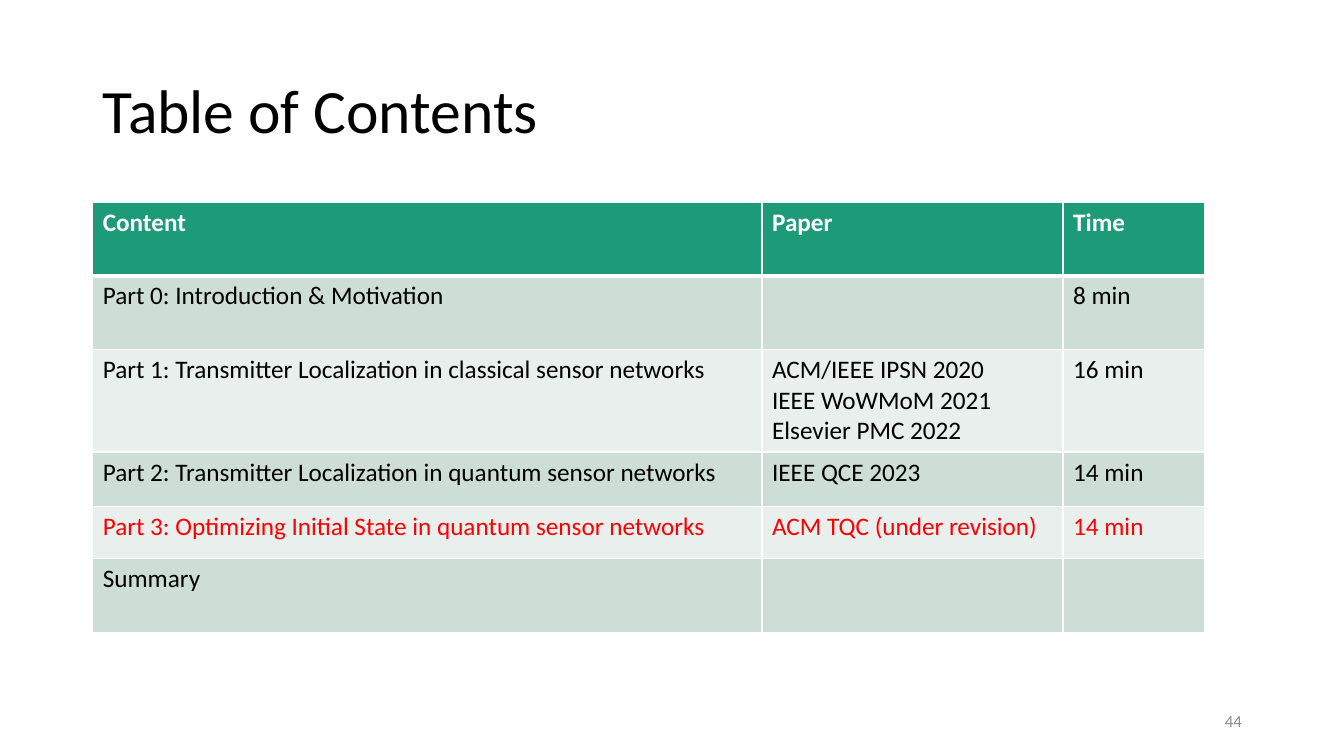
import pptx
import pptx.dml.color
import pptx.enum.text
import pptx.oxml
import pptx.oxml.ns
import pptx.util

FONT = "Calibri"
COLORS = {
    "text": "000000",
    "header": "1D9A78",
    "band_dark": "CDDED6",
    "band_light": "E8EFEC",
    "white": "FFFFFF",
    "current": "FF0000",
    "number": "8C8C8C",
}
WIDTH, HEIGHT = pptx.util.Inches(13.33), pptx.util.Inches(7.5)

# Shares of the slide's size, in percent
LEFT = 6.9
COLUMNS = [49.8, 22.4, 10.5]
ROWS = [9.73, 9.73, 13.6, 7.2, 6.9, 9.73]

CONTENTS = [
    ["Content", "Paper", "Time"],
    ["Part 0: Introduction & Motivation", "", "8 min"],
    ["Part 1: Transmitter Localization in classical sensor networks",
     "ACM/IEEE IPSN 2020\nIEEE WoWMoM 2021 Elsevier PMC 2022", "16 min"],
    ["Part 2: Transmitter Localization in quantum sensor networks",
     "IEEE QCE 2023", "14 min"],
    ["Part 3: Optimizing Initial State in quantum sensor networks",
     "ACM TQC (under revision)", "14 min"],
    ["Summary", "", ""],
]
CURRENT_ROW = 4


def across(percent):
    return round(WIDTH * percent / 100)


def down(percent):
    return round(HEIGHT * percent / 100)


def rgb(name):
    return pptx.dml.color.RGBColor.from_string(COLORS[name])


def place(sp, left, top, width, height):
    sp.left, sp.top = across(left), down(top)
    sp.width, sp.height = across(width), down(height)


def format_text(tf, size, color, bold=False, align=None):
    for p in tf.paragraphs:
        p.alignment = align
        for r in p.runs:
            r.font.name = FONT
            r.font.size = pptx.util.Pt(size)
            r.font.bold = bold
            r.font.color.rgb = rgb(color)


def add_borders(cell, top, bottom):
    """Draw white cell borders; must run before the cell is filled."""
    tcPr = cell._tc.get_or_add_tcPr()
    for side, width in zip("LRTB", (1, 1, top, bottom)):
        tcPr.append(pptx.oxml.parse_xml(
            f'<a:ln{side} {pptx.oxml.ns.nsdecls("a")} w="{pptx.util.Pt(width)}">'
            f'<a:solidFill><a:srgbClr val="{COLORS["white"]}"/></a:solidFill>'
            f'</a:ln{side}>'))


def add_title(s, text):
    title = s.shapes.title
    place(title, LEFT, 5.33, 86.25, 19.33)
    tf = title.text_frame
    tf.text = text
    tf.vertical_anchor = pptx.enum.text.MSO_ANCHOR.MIDDLE
    tf.paragraphs[0].line_spacing = 0.9
    format_text(tf, 44, "text", align=pptx.enum.text.PP_ALIGN.LEFT)


def add_contents_table(s):
    frame = s.shapes.add_table(len(ROWS), len(COLUMNS), across(LEFT), down(26.75),
                               across(sum(COLUMNS)), down(sum(ROWS)))
    table = frame.table
    for column, width in zip(table.columns, COLUMNS):
        column.width = across(width)
    for i, (row, height, texts) in enumerate(zip(table.rows, ROWS, CONTENTS)):
        row.height = down(height)
        header = i == 0
        fill = "header" if header else ("band_light", "band_dark")[i % 2]
        color = "white" if header else "current" if i == CURRENT_ROW else "text"
        for cell, text in zip(row.cells, texts):
            add_borders(cell, 3 if i == 1 else 1, 3 if header else 1)
            cell.fill.solid()
            cell.fill.fore_color.rgb = rgb(fill)
            cell.text_frame.text = text
            format_text(cell.text_frame, 18, color, bold=header)


def add_slide_number(s, number):
    sp = s.shapes.add_textbox(0, 0, 0, 0)
    place(sp, 70.65, 92.67, 22.5, 5.33)
    tf = sp.text_frame
    tf.word_wrap = True
    tf.vertical_anchor = pptx.enum.text.MSO_ANCHOR.MIDDLE
    tf.text = number
    format_text(tf, 12, "number", align=pptx.enum.text.PP_ALIGN.RIGHT)


def main():
    prs = pptx.Presentation()
    prs.slide_width, prs.slide_height = WIDTH, HEIGHT
    s = prs.slides.add_slide(prs.slide_layouts.get_by_name("Title Only"))
    add_title(s, "Table of Contents")
    add_contents_table(s)
    add_slide_number(s, "44")
    prs.save("out.pptx")


if __name__ == "__main__":
    main()
